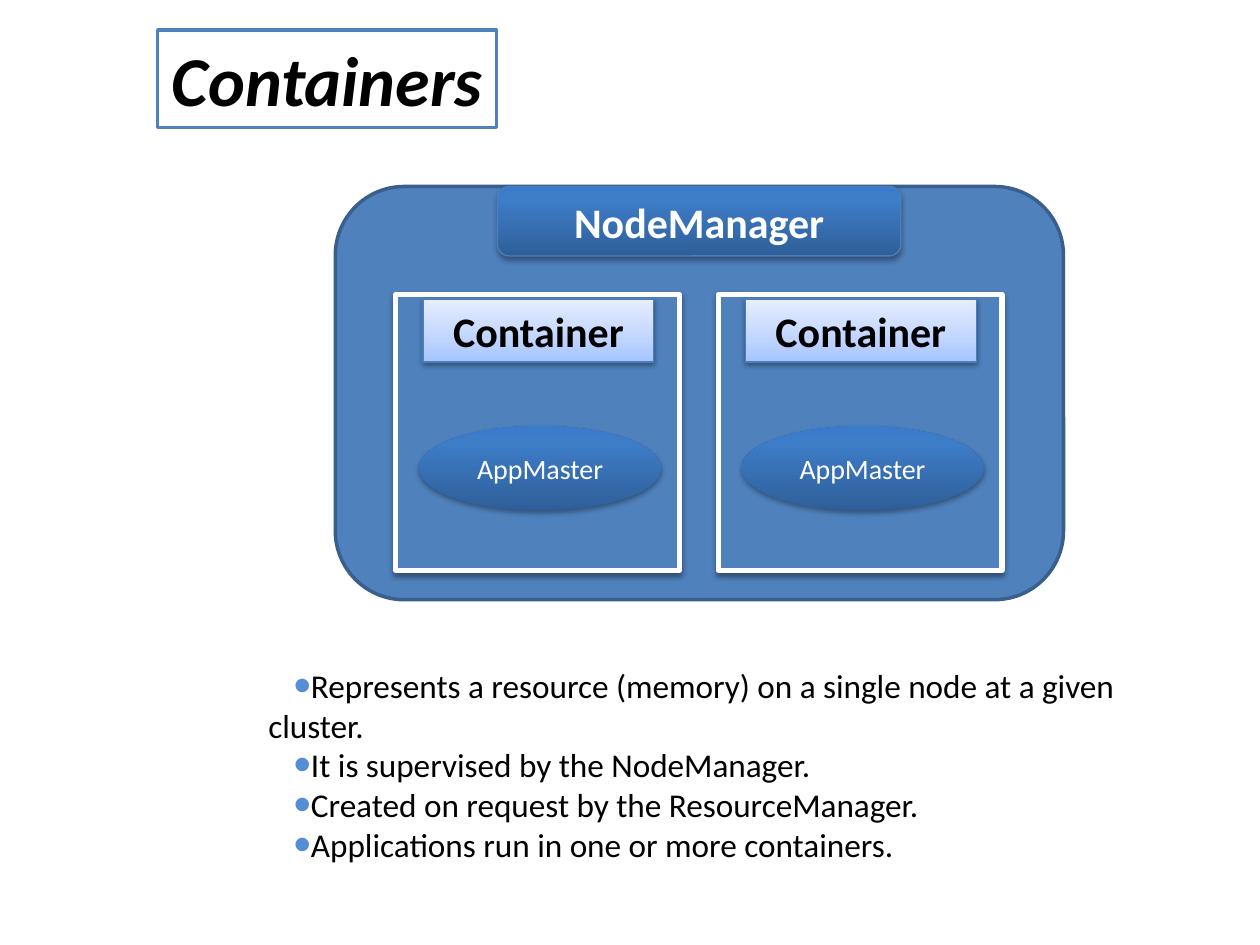
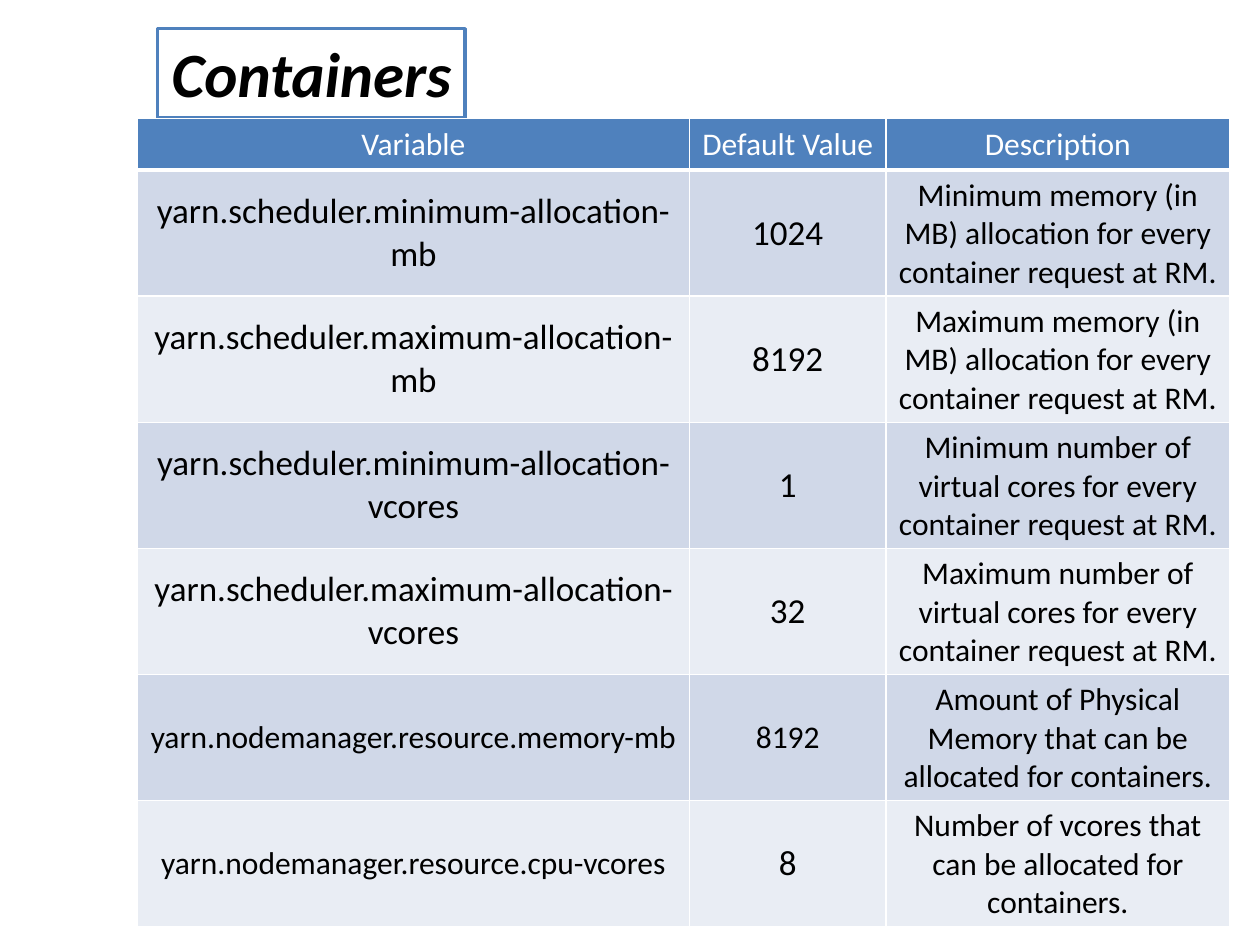
import pptx
import pptx.util
import pptx.dml.color
import pptx.enum.shapes
import pptx.enum.text
import pptx.oxml
import pptx.oxml.ns
from lxml import etree

Cm, Pt = pptx.util.Cm, pptx.util.Pt
KIND = pptx.enum.shapes.MSO_SHAPE
ALIGN = pptx.enum.text.PP_ALIGN
ANCHOR = pptx.enum.text.MSO_ANCHOR
qn = pptx.oxml.ns.qn

FONT = "Calibri"
TITLE = "Containers"
HUES = {
    "blue": "4F81BD", "edge": "3A5F8C", "rim": "4B7EBC",
    "white": "FFFFFF", "black": "000000", "dot": "558ED5",
    "odd": "D0D8E8", "even": "E9EDF4",
}
FADES = {
    "deep": [(0, "2F5F99"), (80, "3D7CC7"), (100, "3A7CCB")],
    "pale": [(0, "A4C4FF"), (35, "BFD4FF"), (100, "E6EEFF")],
}
# alpha in percent, distance in points
SHADES = {"soft": (38, 1.6), "firm": (35, 1.8)}

NODE = "NodeManager"
BOXES = [("Container", "AppMaster"), ("Container", "AppMaster")]
POINTS = [
    "Represents a resource (memory) on a single node at a given cluster.",
    "It is supervised by the NodeManager.",
    "Created on request by the ResourceManager.",
    "Applications run in one or more containers.",
]

HEADS = ("Variable", "Default Value", "Description")
ROWS = [
    ("yarn.scheduler.minimum-allocation-mb", "1024",
     "Minimum memory (in MB) allocation for every container request at RM."),
    ("yarn.scheduler.maximum-allocation-mb", "8192",
     "Maximum memory (in MB) allocation for every container request at RM."),
    ("yarn.scheduler.minimum-allocation-vcores", "1",
     "Minimum number of virtual cores for every container request at RM."),
    ("yarn.scheduler.maximum-allocation-vcores", "32",
     "Maximum number of virtual cores for every container request at RM."),
    ("yarn.nodemanager.resource.memory-mb", "8192",
     "Amount of Physical Memory that can be allocated for containers."),
    ("yarn.nodemanager.resource.cpu-vcores", "8",
     "Number of vcores that can be allocated for containers."),
]
SIZES = [(20, 20, 18)] * 4 + [(18, 18, 18), (18, 20, 18)]
WIDTHS = (11.13, 3.96, 6.93)
HEAD_H, ROW_H = 1.04, 2.54


def tint(hue):
    return pptx.dml.color.RGBColor.from_string(HUES[hue])


def sub(node, tag, **attrs):
    return etree.SubElement(node, qn(tag), {k: str(v) for k, v in attrs.items()})


def style(para, size, hue, bold=False, slant=False, align=ALIGN.CENTER):
    para.alignment = align
    for run in para.runs:
        font = run.font
        font.name, font.size = FONT, Pt(size)
        font.bold, font.italic = bold, slant
        font.color.rgb = tint(hue)


def paint(shape, fill):
    """Fill with a plain colour, or with a fade that runs from bottom to top."""
    if fill in HUES:
        shape.fill.solid()
        shape.fill.fore_color.rgb = tint(fill)
        return
    shape.fill.gradient()
    shape.fill.gradient_angle = 90
    stops = shape._element.spPr.find(".//" + qn("a:gsLst"))
    for old in list(stops):
        stops.remove(old)
    for pos, rgb in FADES[fill]:
        sub(sub(stops, "a:gs", pos=pos * 1000), "a:srgbClr", val=rgb)


def cast(shape, shade):
    alpha, dist = SHADES[shade]
    glow = shape._element.spPr.find(qn("a:effectLst"))
    drop = sub(glow, "a:outerShdw", blurRad=Pt(3.1), dist=Pt(dist),
               dir=5400000, rotWithShape=0)
    sub(sub(drop, "a:srgbClr", val=HUES["black"]), "a:alpha", val=alpha * 1000)


def block(slide, kind, at, fill, line=None, shade=None):
    shape = slide.shapes.add_shape(kind, *map(Cm, at))
    shape.shadow.inherit = False
    paint(shape, fill)
    if line:
        hue, width = line
        shape.line.color.rgb = tint(hue)
        shape.line.width = Pt(width)
    else:
        shape.line.fill.background()
    if shade:
        cast(shape, shade)
    return shape


def label(shape, text, size, hue, anchor=ANCHOR.MIDDLE, wrap=True, **look):
    frame = shape.text_frame
    frame.text = text
    frame.word_wrap = wrap
    frame.vertical_anchor = anchor
    style(frame.paragraphs[0], size, hue, **look)


def head(slide, at, size):
    shape = block(slide, KIND.RECTANGLE, at, "white", ("blue", 2))
    label(shape, TITLE, size, "black", ANCHOR.TOP, False, bold=True, slant=True)


def bullet(para):
    props = para._p.get_or_add_pPr()
    props.set("marL", "0")
    props.set("indent", str(Cm(0.51)))
    sub(sub(props, "a:buClr"), "a:srgbClr", val=HUES["dot"])
    sub(props, "a:buSzPct", val=150000)
    sub(props, "a:buFont", typeface="Arial")
    sub(props, "a:buChar", char="•")


def border(cell, top, base):
    props = cell._tc.get_or_add_tcPr()
    sides = [("a:lnL", 1), ("a:lnR", 1), ("a:lnT", top), ("a:lnB", base)]
    for spot, (tag, width) in enumerate(sides):
        line = sub(props, tag, w=Pt(width))
        sub(sub(line, "a:solidFill"), "a:srgbClr", val=HUES["white"])
        props.insert(spot, line)


def diagram(slide):
    block(slide, KIND.ROUNDED_RECTANGLE, (6.76, 3.76, 14.68, 8.33),
          "blue", ("edge", 2))
    head(slide, (3.18, 0.61, 6.83, 1.96), 40)
    for num, (name, app) in enumerate(BOXES):
        left = 7.98 + 6.5 * num
        block(slide, KIND.RECTANGLE, (left, 5.94, 5.72, 5.56),
              "blue", ("white", 3), "soft")
        tag = block(slide, KIND.RECTANGLE, (left + 0.55, 6.03, 4.65, 1.27),
                    "pale", ("rim", 0.75), "soft")
        label(tag, name, 24, "black", ANCHOR.TOP, bold=True)
        oval = block(slide, KIND.OVAL, (left + 0.47, 8.59, 4.88, 1.7),
                     "deep", shade="firm")
        label(oval, app, 16, "white")
    bar = block(slide, KIND.ROUNDED_RECTANGLE, (10.03, 3.76, 8.13, 1.4),
                "deep", ("rim", 0.75), "firm")
    label(bar, NODE, 24, "white", bold=True)


def notes(slide):
    box = slide.shapes.add_textbox(*map(Cm, (5.16, 13.28, 19.46, 3.51)))
    frame = box.text_frame
    frame.word_wrap = True
    frame.text = "\n".join(POINTS)
    for para in frame.paragraphs:
        style(para, 19, "black", align=ALIGN.LEFT)
        bullet(para)


def grid(slide):
    high = HEAD_H + ROW_H * len(ROWS)
    at = (2.77, 2.39, sum(WIDTHS), high)
    table = slide.shapes.add_table(len(ROWS) + 1, len(HEADS), *map(Cm, at)).table
    for col, width in zip(table.columns, WIDTHS):
        col.width = Cm(width)
    sizes = [(18, 18, 18)] + SIZES
    for num, texts in enumerate([HEADS] + ROWS):
        table.rows[num].height = Cm(ROW_H if num else HEAD_H)
        fill = ("odd" if num % 2 else "even") if num else "blue"
        for col, text in enumerate(texts):
            cell = table.cell(num, col)
            cell.text = text
            cell.vertical_anchor = ANCHOR.MIDDLE
            cell.fill.solid()
            cell.fill.fore_color.rgb = tint(fill)
            style(cell.text_frame.paragraphs[0], sizes[num][col],
                  "black" if num else "white")
            border(cell, 3 if num == 1 else 1, 1 if num else 3)


def main():
    deck = pptx.Presentation()
    deck.slide_width, deck.slide_height = Cm(25.4), Cm(19.05)
    blank = deck.slide_layouts[6]

    first = deck.slides.add_slide(blank)
    diagram(first)
    notes(first)

    second = deck.slides.add_slide(blank)
    head(second, (3.18, 0.58, 6.2, 1.8), 36)
    grid(second)

    deck.save("out.pptx")


if __name__ == "__main__":
    main()
